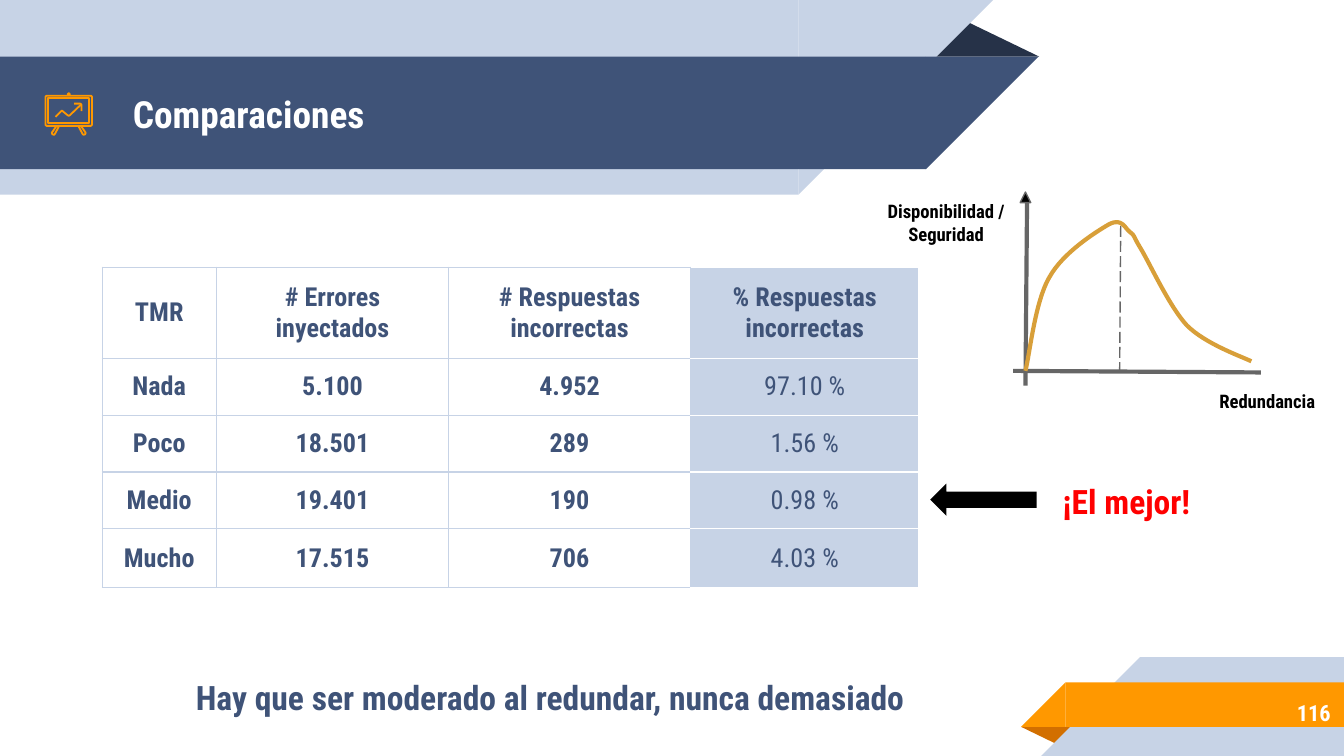
"""Build the slide that compares TMR redundancy levels."""
from lxml import etree
from pptx import Presentation
from pptx.dml.color import RGBColor
from pptx.enum.dml import MSO_LINE
from pptx.enum.shapes import MSO_CONNECTOR, MSO_SHAPE
from pptx.enum.text import MSO_ANCHOR, PP_ALIGN
from pptx.oxml import parse_xml
from pptx.oxml.ns import nsdecls, qn
from pptx.util import Cm, Pt

NAVY = RGBColor(0x3F, 0x53, 0x78)
DARK = RGBColor(0x26, 0x32, 0x48)
PALE = RGBColor(0xC7, 0xD3, 0xE6)
ORANGE = RGBColor(0xFF, 0x98, 0x00)
RUST = RGBColor(0xD2, 0x6F, 0x00)
GOLD = RGBColor(0xD8, 0x9F, 0x39)
GRAY = RGBColor(0x66, 0x66, 0x66)
RED = RGBColor(0xFF, 0x00, 0x00)
BLACK = RGBColor(0x00, 0x00, 0x00)
WHITE = RGBColor(0xFF, 0xFF, 0xFF)
FONT = "Roboto Condensed"

RECT, CORNER = MSO_SHAPE.RECTANGLE, MSO_SHAPE.RIGHT_TRIANGLE
TRIANGLE, ARROW = MSO_SHAPE.ISOSCELES_TRIANGLE, MSO_SHAPE.RIGHT_ARROW
STRAIGHT = MSO_CONNECTOR.STRAIGHT
SOLID, LONG_DASH = MSO_LINE.SOLID, MSO_LINE.LONG_DASH
TOP, MIDDLE = MSO_ANCHOR.TOP, MSO_ANCHOR.MIDDLE
LEFT, CENTER, RIGHT = PP_ALIGN.LEFT, PP_ALIGN.CENTER, PP_ALIGN.RIGHT

prs = Presentation()
prs.slide_width, prs.slide_height = Cm(25.4), Cm(14.29)
slide = prs.slides.add_slide(prs.slide_layouts[6])
shapes = slide.shapes


def add_solid(preset, box, color, rotation=0):
    solid = shapes.add_shape(preset, *map(Cm, box))
    solid.shadow.inherit = False
    solid.fill.solid()
    solid.fill.fore_color.rgb = color
    solid.line.fill.background()
    solid.rotation = rotation
    return solid


def write(frame, text, size, color, align, bold=True):
    frame.word_wrap = True
    paragraph = frame.paragraphs[0]
    paragraph.alignment = align
    run = paragraph.add_run()
    run.text = text
    run.font.name = FONT
    run.font.size = Pt(size)
    run.font.bold = bold
    run.font.color.rgb = color


header_fold = add_solid(TRIANGLE, (17.48, 0.36, 2.16, 0.71), DARK)
header_fold.adjustments[0] = 0.32
for top, length, height, color in [(0, 15.09, 3.68, PALE), (1.07, 17.5, 2.13, NAVY)]:
    add_solid(RECT, (0, top, length, height), color)
    tip = add_solid(CORNER, (length, top, height, height), color, 180)
    tip._element.spPr.xfrm.set("flipH", "1")

footer_fold = add_solid(TRIANGLE, (19.3, 13.74, 1.09, 0.36), RUST, 180)
footer_fold.adjustments[0] = 0.32
for left, top, height, color in [(21.55, 12.42, 1.87, PALE), (20.14, 12.9, 0.84, ORANGE)]:
    add_solid(RECT, (left, top, 25.4 - left, height), color)
    tip = add_solid(CORNER, (left - height, top, height, height), color)
    tip._element.spPr.xfrm.set("flipH", "1")

board = [(88, 181), (172, 181), (174, 183), (174, 236),
         (172, 238), (88, 238), (86, 236), (86, 183)]
knob = [(132, 181), (132, 178), (130, 176), (128, 178), (128, 181)]
left_leg = [(107, 238), (98, 251), (99, 254), (102, 255), (104, 253), (112, 238)]
right_leg = [(260 - x, y) for x, y in left_leg]
panel = [(91, 186), (91, 233), (169, 233), (169, 186)]
trend = [(153, 198), (132, 218), (130, 219), (128, 218), (117, 209), (105, 221)]
trend_head = [(140, 196), (152, 196), (154, 198), (154, 210)]
availability = [
    (1938, 701),
    (1946, 671), (1956, 569), (1984, 523),
    (2009, 478), (2070, 439), (2096, 424),
    (2121, 411), (2126, 432), (2136, 439),
    (2146, 447), (2139, 442), (2156, 470),
    (2174, 500), (2210, 579), (2243, 615),
    (2278, 650), (2344, 673), (2365, 683),
]

axes = [
    ((19.15, 7.01), (23.83, 7.04), 2.25, SOLID),
    ((19.38, 7.29), (19.41, 3.84), 2.25, SOLID),
    ((21.18, 4.27), (21.16, 7.04), 0.75, LONG_DASH),
]
for start, end, width, dash in axes:
    axis = shapes.add_connector(STRAIGHT, *map(Cm, start + end))
    axis.line.color.rgb = GRAY
    axis.line.width = Pt(width)
    axis.line.dash_style = dash
    etree.SubElement(axis._element.spPr, qn("a:effectLst"))
axis_tip = add_solid(TRIANGLE, (19.28, 3.63, 0.2, 0.2), BLACK)
axis_tip.line.color.rgb = GRAY
axis_tip.line.width = Pt(0.75)

strokes = [(outline, outline in (board, panel), ORANGE, 0.96) for outline in
           (board, knob, left_leg, right_leg, panel, trend, trend_head)]
strokes.append((availability, False, GOLD, 2.25))
for outline, closed, color, width in strokes:
    builder = shapes.build_freeform(*outline[0], scale=Cm(0.01))
    builder.add_line_segments(outline[1:], close=closed)
    stroke = builder.convert_to_shape()
    stroke.shadow.inherit = False
    stroke.fill.background()
    stroke.line.color.rgb = color
    stroke.line.width = Pt(width)

segments = list(stroke._element.iter(qn("a:lnTo")))
for first in range(0, len(segments), 3):
    bezier = etree.Element(qn("a:cubicBezTo"))
    segments[first].addprevious(bezier)
    for segment in segments[first:first + 3]:
        bezier.append(segment[0])
        segment.getparent().remove(segment)

rows = [
    ("TMR", "# Errores inyectados", "# Respuestas incorrectas", "% Respuestas incorrectas"),
    ("Nada", "5.100", "4.952", "97.10 %"),
    ("Poco", "18.501", "289", "1.56 %"),
    ("Medio", "19.401", "190", "0.98 %"),
    ("Mucho", "17.515", "706", "4.03 %"),
]
column_widths = [2.16, 4.39, 4.57, 4.32]
row_heights = [1.73, 1.07, 1.07, 1.07, 1.12]
results = shapes.add_table(5, 4, Cm(1.93), Cm(5.05), Cm(sum(column_widths)),
                           Cm(sum(row_heights))).table
for column, width in zip(results.columns, column_widths):
    column.width = Cm(width)
for row, height in zip(results.rows, row_heights):
    row.height = Cm(height)
for r, values in enumerate(rows):
    for c, value in enumerate(values):
        cell = results.cell(r, c)
        highlighted = c == 3
        write(cell.text_frame, value, 14, NAVY, CENTER, not highlighted or r == 0)
        cell.vertical_anchor = MIDDLE
        cell.margin_left = cell.margin_right = Cm(0.25)
        cell.margin_top = cell.margin_bottom = Cm(0.18)
        for side in "LRTB":
            color = WHITE if highlighted and side != "L" else PALE
            cell._tc.get_or_add_tcPr().append(parse_xml(
                f'<a:ln{side} {nsdecls("a")} w="9525"><a:solidFill>'
                f'<a:srgbClr val="{color}"/></a:solidFill></a:ln{side}>'))
        if highlighted:
            cell.fill.solid()
            cell.fill.fore_color.rgb = PALE
        else:
            cell.fill.background()

add_solid(ARROW, (17.58, 9.14, 2.01, 0.61), BLACK, 180)

texts = [
    ("Comparaciones", (2.26, 1.09, 14.61, 2.13), 20, WHITE, LEFT, MIDDLE),
    ("116", (21.26, 13.03, 4.14, 0.89), 12, WHITE, RIGHT, MIDDLE),
    ("¡El mejor!", (19.79, 8.84, 3, 1.19), 18, RED, CENTER, TOP),
    ("Disponibilidad / Seguridad", (16.48, 3.53, 2.8, 1.24), 10, BLACK, CENTER, TOP),
    ("Redundancia", (22.75, 7.16, 2.4, 0.69), 10, BLACK, CENTER, TOP),
    ("Hay que ser moderado al redundar, nunca demasiado",
     (2.64, 12.55, 15.52, 1.19), 18, NAVY, CENTER, TOP),
]
for text, box, size, color, align, anchor in texts:
    frame = shapes.add_textbox(*map(Cm, box)).text_frame
    frame.margin_left = frame.margin_right = Cm(0.25)
    frame.margin_top = frame.margin_bottom = Cm(0.25)
    frame.vertical_anchor = anchor
    write(frame, text, size, color, align)

prs.save("out.pptx")
